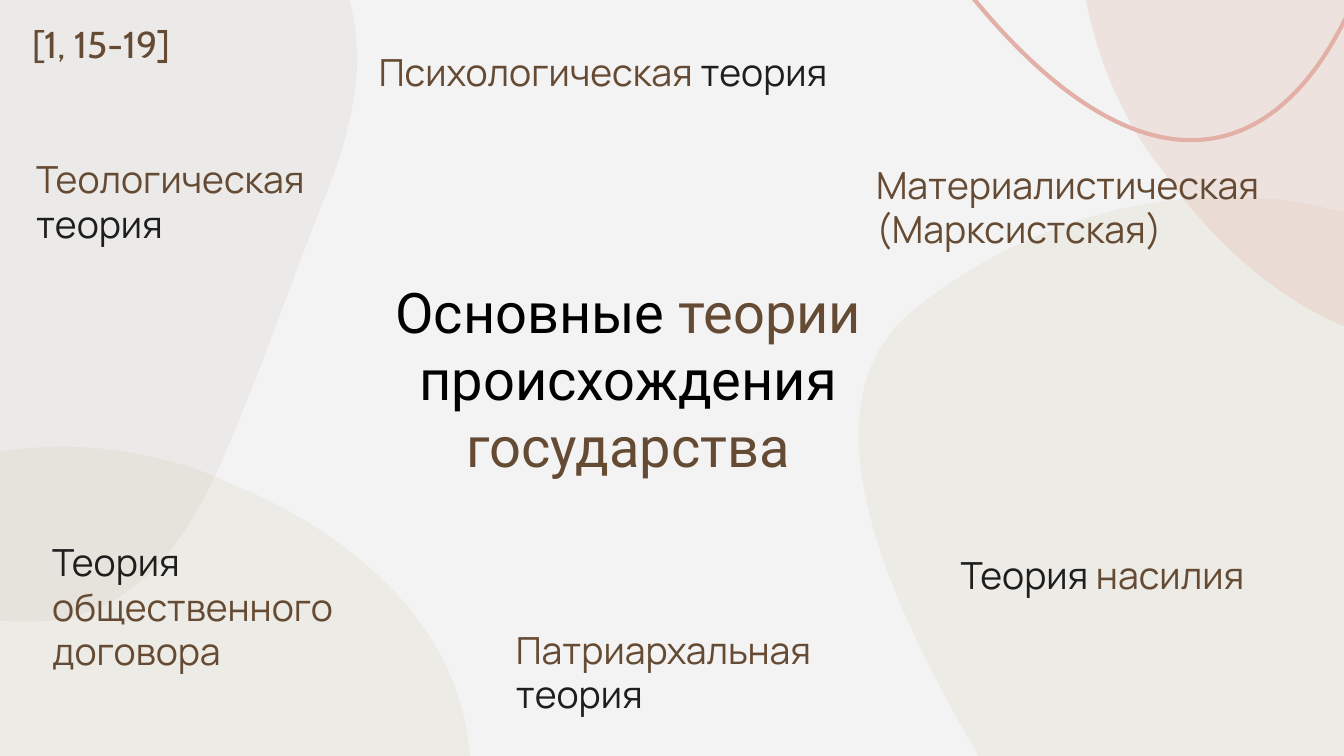
from dataclasses import dataclass
from math import cos, radians, sin

from pptx import Presentation
from pptx.dml.color import RGBColor as Rgb
from pptx.enum.text import MSO_ANCHOR as Anchor, MSO_AUTO_SIZE as AutoSize, PP_ALIGN as Align
from pptx.oxml.ns import qn
from pptx.oxml.xmlchemy import OxmlElement as new_element
from pptx.shapes.autoshape import Shape
from pptx.slide import Slide
from pptx.util import Pt

Point = tuple[float, float]


@dataclass(frozen=True)
class Theme:
    background: str = "F3F3F3"
    sand: str = "E7E2D6"
    rose: str = "E2B0A6"
    stone: str = "887C62"
    brown: str = "664B34"
    ink: str = "1E1E1E"
    black: str = "000000"
    title_size: float = 30
    label_size: float = 20
    title_font: str = "Roboto"
    label_font: str = "Manrope"
    source_font: str = "Cabin"
    line_width: float = 2.25


THEME = Theme()
GRID = 72


@dataclass(frozen=True)
class Blob:
    center: Point
    scale: float
    turn: float
    flipped: bool
    color: str
    opacity: int


@dataclass(frozen=True)
class Label:
    left: float
    top: float
    width: float
    height: float
    spans: tuple[tuple[str, str], ...]
    font: str = THEME.label_font
    size: float = THEME.label_size
    anchor: Anchor = Anchor.BOTTOM
    align: Align = Align.LEFT
    margin: float = 7.2


BLOB_CENTER = (10.27, 5.54)
BLOB_OUTLINE = [
    (12.13, 2.84), (12.34, 3.16), (12.48, 3.55), (12.49, 4.03),
    (12.51, 6.13), (11.86, 7.11), (11.86, 7.11),
    (11.86, 7.11), (11.29, 7.56), (11.72, 8.21),
    (11.74, 8.24), (11.76, 8.27), (11.78, 8.29),
    (11.85, 8.39), (11.92, 8.48), (11.98, 8.57),
    (12.36, 9.15), (12.48, 9.65), (12.32, 9.82),
    (12.14, 10.01), (11.21, 9.95), (10.6, 9.55),
    (10.08, 9.22), (9.17, 8.87), (8.75, 8.23),
    (8.67, 8.11), (8.6, 7.98), (8.57, 7.83),
    (8.33, 6.93), (5.27, 3.48), (6.83, 2.28),
    (8.38, 1.08), (9.91, 1.56), (9.91, 1.56),
    (9.91, 1.56), (11.43, 1.77), (12.13, 2.84),
]
PEBBLE_OUTLINE = [
    (-0.11, -1.77), (-0.13, -1.78), (-0.16, -1.78), (-0.19, -1.79),
    (-0.25, -1.8), (-0.31, -1.82), (-0.38, -1.83),
    (-1.19, -2.02), (-2.2, -2.23), (-2.93, -1.8),
    (-3.42, -1.51), (-3.65, -0.8), (-3.88, -0.32),
    (-4.19, 0.31), (-4.47, 0.95), (-4.67, 1.63),
    (-4.94, 2.53), (-4.61, 3.07), (-3.76, 3.4),
    (-3.01, 3.7), (-2.25, 3.99), (-1.49, 4.23),
    (-1.16, 4.33), (-0.83, 4.46), (-0.49, 4.54),
    (-0.21, 4.6), (0.07, 4.64), (0.35, 4.62),
    (0.99, 4.56), (1.36, 4.07), (1.61, 3.52),
    (1.92, 2.83), (2.16, 2.11), (2.44, 1.41),
    (2.68, 0.8), (2.81, 0.09), (2.35, -0.45),
    (1.73, -1.18), (0.8, -1.55), (-0.11, -1.77),
]
WAVE = [
    (2.19, -3.52), (2.19, -3.52), (2.76, -1.72), (3.4, -1.27),
    (4.15, -0.73), (5.93, -1.63), (7.22, -0.04),
    (8.52, 1.56), (9.58, 1.26), (10.12, -0.11),
]

SAND_RIGHT = Blob(BLOB_CENTER, 1, 0, False, THEME.sand, 46)
ROSE_TOP = Blob((11.9, 0.13), 0.86, 65.2, True, THEME.rose, 25)
SAND_LEFT = Blob((1.33, 7.02), 0.86, 11.8, False, THEME.sand, 46)

LABELS = [
    Label(154.8, 146.16, 363.6, 113.04,
          (("Основные ", THEME.black), ("теории ", THEME.brown),
           ("происхождения ", THEME.black), ("государства", THEME.brown)),
          THEME.title_font, THEME.title_size, Anchor.MIDDLE, Align.CENTER),
    Label(269.28, 336.96, 181.44, 54,
          (("Патриархальная ", THEME.brown), ("теория", THEME.ink))),
    Label(12.24, 82.08, 170.64, 56.88,
          (("Теологическая ", THEME.brown), ("теория", THEME.ink))),
    Label(195.84, 20.88, 281.52, 36.72,
          (("Психологическая ", THEME.brown), ("теория", THEME.ink))),
    Label(507.6, 290.16, 175.68, 36.72,
          (("Теория", THEME.ink), (" насилия", THEME.brown))),
    Label(462.24, 82.08, 232.56, 59.76,
          (("Материалистическая (Марксистская)", THEME.brown),)),
    Label(20.88, 285.84, 174.96, 82.08,
          (("Теория ", THEME.ink), ("общественного договора", THEME.brown))),
    Label(10.08, 7.92, 96.48, 31.68, (("[1, 15-19]", THEME.brown),),
          THEME.source_font, anchor=Anchor.TOP, margin=3.6),
]


def add_curve(page: Slide, points: list[Point], closed: bool) -> Shape:
    start, *rest = [(Pt(x * GRID), Pt(y * GRID)) for x, y in points]
    builder = page.shapes.build_freeform(*start)
    builder.add_line_segments(rest, close=closed)
    shape = builder.convert_to_shape()
    shape.shadow.inherit = False
    segments = list(shape._element.iter(qn("a:lnTo")))
    for first in range(0, len(segments), 3):
        curve = new_element("a:cubicBezTo")
        segments[first].addprevious(curve)
        for segment in segments[first:first + 3]:
            curve.append(segment[0])
            segment.getparent().remove(segment)
    return shape


def add_area(page: Slide, points: list[Point], color: str, opacity: int) -> None:
    shape = add_curve(page, points, closed=True)
    shape.fill.solid()
    shape.fill.fore_color.rgb = Rgb.from_string(color)
    shape.line.fill.background()
    alpha = new_element("a:alpha")
    alpha.set("val", str(opacity * 1000))
    next(shape._element.spPr.iter(qn("a:srgbClr"))).append(alpha)


def add_blob(page: Slide, blob: Blob) -> None:
    turn = radians(blob.turn)
    points = []
    for x, y in BLOB_OUTLINE:
        across = (x - BLOB_CENTER[0]) * blob.scale
        down = (y - BLOB_CENTER[1]) * blob.scale * (-1 if blob.flipped else 1)
        points.append((blob.center[0] + across * cos(turn) - down * sin(turn),
                       blob.center[1] + across * sin(turn) + down * cos(turn)))
    add_area(page, points, blob.color, blob.opacity)


def add_wave(page: Slide) -> None:
    wave = add_curve(page, WAVE, closed=False)
    wave.fill.background()
    wave.line.color.rgb = Rgb.from_string(THEME.rose)
    wave.line.width = Pt(THEME.line_width)


def add_label(page: Slide, label: Label) -> None:
    box = page.shapes.add_textbox(
        Pt(label.left), Pt(label.top), Pt(label.width), Pt(label.height))
    frame = box.text_frame
    frame.word_wrap = True
    frame.auto_size = AutoSize.NONE
    frame.vertical_anchor = label.anchor
    frame.margin_left = frame.margin_right = Pt(7.2)
    frame.margin_top = frame.margin_bottom = Pt(label.margin)
    para = frame.paragraphs[0]
    para.alignment = label.align
    for text, color in label.spans:
        span = para.add_run()
        span.text = text
        span.font.name = label.font
        span.font.size = Pt(label.size)
        span.font.color.rgb = Rgb.from_string(color)


def main() -> None:
    deck = Presentation()
    deck.slide_width, deck.slide_height = Pt(720), Pt(405)
    page = deck.slides.add_slide(deck.slide_layouts[6])
    page.background.fill.solid()
    page.background.fill.fore_color.rgb = Rgb.from_string(THEME.background)
    add_blob(page, SAND_RIGHT)
    add_blob(page, ROSE_TOP)
    add_wave(page)
    add_blob(page, SAND_LEFT)
    add_area(page, PEBBLE_OUTLINE, THEME.stone, 7)
    for label in LABELS:
        add_label(page, label)
    deck.save("out.pptx")


if __name__ == "__main__":
    main()
